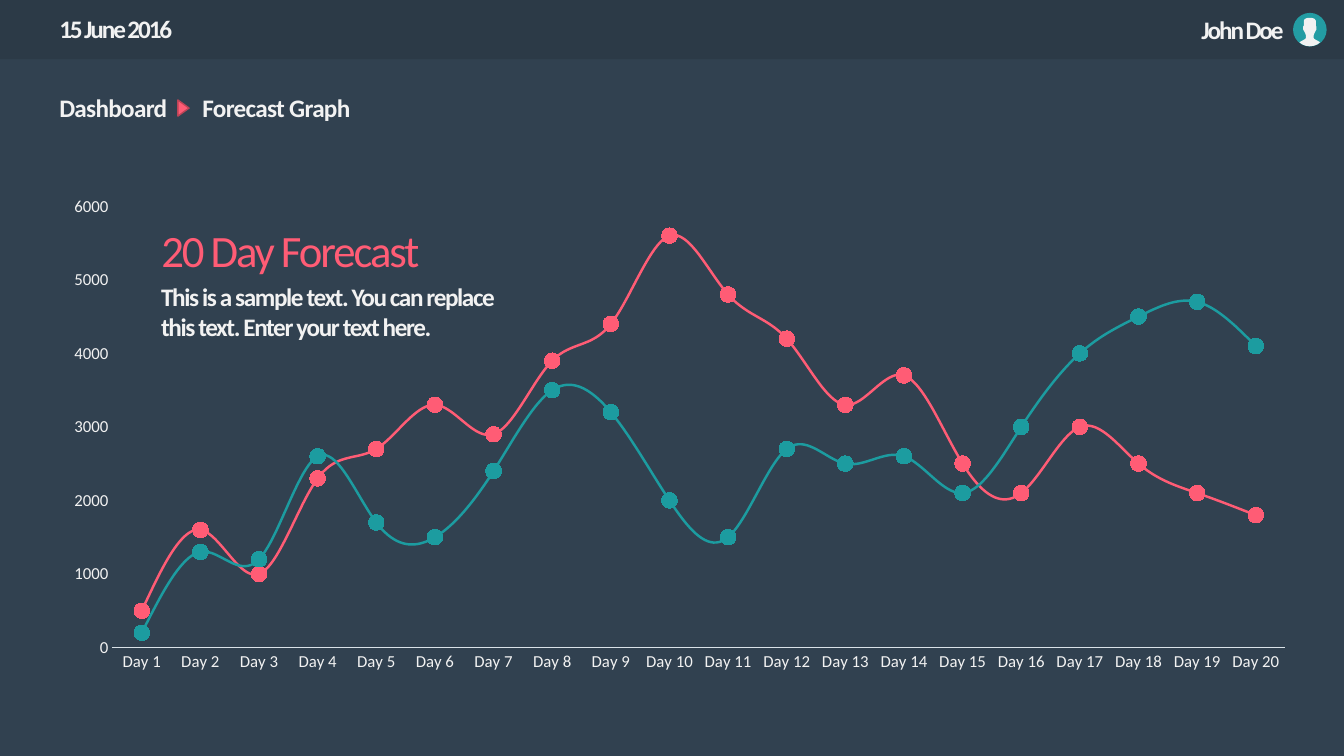
from lxml import etree
from pptx import Presentation
from pptx.chart.data import CategoryChartData
from pptx.dml.color import RGBColor
from pptx.enum.chart import XL_CHART_TYPE, XL_MARKER_STYLE, XL_TICK_MARK
from pptx.enum.shapes import MSO_SHAPE
from pptx.enum.text import MSO_ANCHOR, MSO_AUTO_SIZE, PP_ALIGN
from pptx.oxml import parse_xml
from pptx.oxml.ns import nsdecls, qn
from pptx.util import Pt

LINE_MARKERS = XL_CHART_TYPE.LINE_MARKERS
CIRCLE = XL_MARKER_STYLE.CIRCLE
NO_TICK = XL_TICK_MARK.NONE
RECTANGLE, OVAL = MSO_SHAPE.RECTANGLE, MSO_SHAPE.OVAL
TRIANGLE = MSO_SHAPE.ISOSCELES_TRIANGLE
TOP, GROW = MSO_ANCHOR.TOP, MSO_AUTO_SIZE.SHAPE_TO_FIT_TEXT
LEFT, RIGHT = PP_ALIGN.LEFT, PP_ALIGN.RIGHT

COLORS = {
    "background": "314150", "header": "2C3A47", "text": "F2F2F2",
    "pink": "FF5C75", "pink_edge": "BD4457", "teal": "1C9CA0",
    "avatar": "239CA3", "axis": "DAE2E8",
}
FONT = "Calibri"
SLIDE_WIDTH, SLIDE_HEIGHT = 960, 540
MARGIN = 35.3
LINE_HEIGHT = 28.8

FORECAST = {
    "Series 1": ("pink", [500, 1600, 1000, 2300, 2700, 3300, 2900, 3900, 4400, 5600,
                          4800, 4200, 3300, 3700, 2500, 2100, 3000, 2500, 2100, 1800]),
    "Series 2": ("teal", [200, 1300, 1200, 2600, 1700, 1500, 2400, 3500, 3200, 2000,
                          1500, 2700, 2500, 2600, 2100, 3000, 4000, 4500, 4700, 4100]),
}
# Inner plot area as fractions of the chart frame
PLOT_AREA = {"x": 0.05, "y": 0.04, "w": 0.93, "h": 0.89}

# Right half of the bust, from the head's top to the chest, as offsets
# from the avatar's top centre, in points
BUST_HALF = [(0, 3.6), (2, 3.7), (3.6, 4.4), (4.3, 5.6), (4.3, 9.2), (4.8, 9.9),
             (4.8, 11.8), (4.2, 12.8), (3.2, 14.8), (2.8, 16), (2.8, 18),
             (3.3, 18.7), (7.4, 21), (5.6, 22.4), (3, 23.5), (0, 23.9)]


def color(name):
    return RGBColor.from_string(COLORS[name])


def place(part, left, top, width, height):
    part.left, part.top = Pt(left), Pt(top)
    part.width, part.height = Pt(width), Pt(height)


def write(holder, text, size=18, fill="text", bold=True, spacing=-1.5, align=LEFT):
    frame = holder.text_frame
    frame.word_wrap = True
    frame.auto_size = GROW
    frame.vertical_anchor = TOP
    paragraph = frame.paragraphs[0]
    paragraph.alignment = align
    run = paragraph.add_run()
    run.text = text
    run.font.name, run.font.size, run.font.bold = FONT, Pt(size), bold
    run.font.color.rgb = color(fill)
    run.font._element.set("spc", str(round(spacing * 100)))


def add_label(slide, box, text, **style):
    write(slide.shapes.add_textbox(*map(Pt, box)), text, **style)


def paint(shape, fill, edge=None):
    shape.shadow.inherit = False
    shape.fill.solid()
    shape.fill.fore_color.rgb = color(fill)
    if edge:
        shape.line.color.rgb = color(edge)
        shape.line.width = Pt(1)
    else:
        shape.line.fill.background()


def add_block(slide, preset, box, fill, edge=None):
    block = slide.shapes.add_shape(preset, *map(Pt, box))
    paint(block, fill, edge)
    return block


def add_avatar(slide, left, top, size):
    add_block(slide, OVAL, (left, top, size, size), "avatar")
    center = left + size / 2
    outline = BUST_HALF + [(-x, y) for x, y in BUST_HALF[-2:0:-1]]
    points = [(Pt(center + x), Pt(top + y)) for x, y in outline]
    builder = slide.shapes.build_freeform(*points[0])
    builder.add_line_segments(points[1:], close=True)
    paint(builder.convert_to_shape(), "text")


def add_header(slide, left, top, width, height):
    add_block(slide, RECTANGLE, (left, top, width, height), "header")
    add_label(slide, (left + MARGIN, top + 5.8, 149, LINE_HEIGHT), "15 June 2016")
    add_label(slide, (left + width - 182.2, top + 6.5, 146, LINE_HEIGHT), "John Doe",
              align=RIGHT)
    add_avatar(slide, left + width - 36.4, top + 9.2, 24)


def add_breadcrumb(slide, left, top, width, height):
    add_label(slide, (left, top, 98, height), "Dashboard", spacing=-0.5)
    arrow = add_block(slide, TRIANGLE, (left + 90, top + 10.6, 11.5, 8),
                      "pink", "pink_edge")
    arrow.rotation = 90
    add_label(slide, (left + 102.2, top, width - 102.2, height), "Forecast Graph",
              spacing=-0.5)


def add_introduction(slide, left, top, width, height):
    title = slide.shapes.title
    place(title, left, top, width, 46)
    write(title, "20 Day Forecast", size=32, fill="pink", bold=False)
    add_label(slide, (left, top + 41.8, width - 1.5, height - 41.8),
              "This is a sample text. You can replace this text. Enter your text here.",
              spacing=-1)


def style_axis(axis):
    axis.has_major_gridlines = False
    axis.major_tick_mark = axis.minor_tick_mark = NO_TICK
    font = axis.tick_labels.font
    font.name, font.size = FONT, Pt(12)
    font.color.rgb = color("text")


def fix_plot_area(chart):
    """Make the chart see-through and set its inner plot area."""
    root = chart._chartSpace
    root.find(qn("c:chart")).addnext(parse_xml(
        f'<c:spPr {nsdecls("c", "a")}><a:noFill/><a:ln><a:noFill/></a:ln></c:spPr>'))
    plot_area = root.find(".//" + qn("c:plotArea"))
    for old_layout in plot_area.findall(qn("c:layout")):
        plot_area.remove(old_layout)
    layout = etree.Element(qn("c:layout"))
    manual = etree.SubElement(layout, qn("c:manualLayout"))
    settings = {"layoutTarget": "inner", "xMode": "edge", "yMode": "edge", **PLOT_AREA}
    for tag, value in settings.items():
        etree.SubElement(manual, qn("c:" + tag)).set("val", str(value))
    plot_area.insert(0, layout)


def add_forecast_chart(slide, left, top, width, height):
    data = CategoryChartData()
    data.categories = [f"Day {day}" for day in range(1, 21)]
    for name, (_, values) in FORECAST.items():
        data.add_series(name, values)
    chart = slide.shapes.add_chart(LINE_MARKERS, Pt(left), Pt(top), Pt(width),
                                   Pt(height), data).chart
    chart.has_legend = chart.has_title = False
    chart.font.name, chart.font.size = FONT, Pt(10)
    chart.font.color.rgb = color("header")
    fix_plot_area(chart)

    # Axes
    days, amounts = chart.category_axis, chart.value_axis
    style_axis(days)
    style_axis(amounts)
    days.format.line.color.rgb = color("axis")
    days.format.line.width = Pt(0.75)
    amounts.format.line.fill.background()
    amounts.minimum_scale, amounts.maximum_scale = 0, 6000
    amounts.major_unit = 1000

    # Curves
    plot = chart.plots[0]
    plot.vary_by_categories = False
    for curve, (shade, _) in zip(plot.series, FORECAST.values()):
        curve.smooth = True
        curve.format.line.color.rgb = color(shade)
        curve.format.line.width = Pt(1.75)
        curve.marker.style, curve.marker.size = CIRCLE, 11
        curve.marker.format.fill.solid()
        curve.marker.format.fill.fore_color.rgb = color(shade)
        curve.marker.format.line.fill.background()


def main():
    deck = Presentation()
    deck.slide_width, deck.slide_height = Pt(SLIDE_WIDTH), Pt(SLIDE_HEIGHT)
    slide = deck.slides.add_slide(deck.slide_layouts[5])
    slide.background.fill.solid()
    slide.background.fill.fore_color.rgb = color("background")
    add_forecast_chart(slide, MARGIN, 133.2, 900.7, 354.2)
    add_breadcrumb(slide, MARGIN, 62.6, 254, LINE_HEIGHT)
    add_introduction(slide, 108, 155.5, 265.7, 92.7)
    add_header(slide, 0, 0, SLIDE_WIDTH, 42.3)
    deck.save("out.pptx")


if __name__ == "__main__":
    main()
